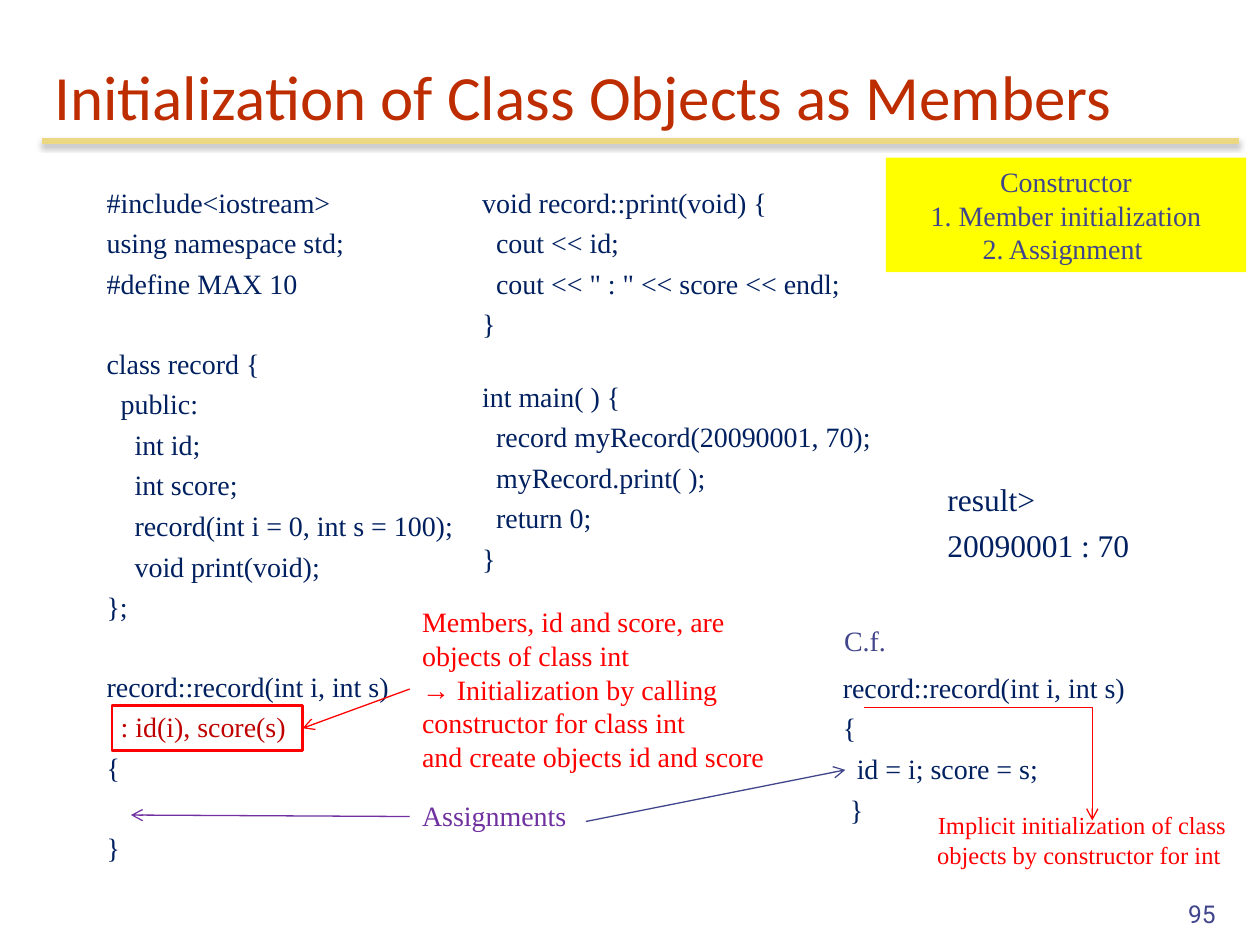
from pptx import Presentation
from pptx import util as u
from pptx.dml.color import RGBColor
from pptx.enum import shapes, text
from pptx.oxml import parse_xml
from pptx.oxml.ns import nsdecls, qn

NAVY = RGBColor(0x00, 0x20, 0x60)
RED = RGBColor(0xFF, 0x00, 0x00)
DARK = RGBColor(0xC0, 0x00, 0x00)
RUST = RGBColor(0xBE, 0x2D, 0x00)
SLATE = RGBColor(0x40, 0x45, 0x8C)
PLUM = RGBColor(0x70, 0x30, 0xA0)
GOLD = RGBColor(0xEC, 0xD8, 0x82)
LEMON = RGBColor(0xFF, 0xFF, 0x00)

LEFT, MID, RIGHT = text.PP_ALIGN.LEFT, text.PP_ALIGN.CENTER, text.PP_ALIGN.RIGHT
SHADE = (
    '<a:outerShdw blurRad="40000" dist="23000" dir="5400000" rotWithShape="0">'
    '<a:srgbClr val="000000"><a:alpha val="35000"/></a:srgbClr></a:outerShdw>'
)


class Sheet:
    """Style and current slide; all lengths are in centimetres."""

    face = "Times New Roman"
    size = 16

    def __init__(self, deck):
        self.slide = deck.slides.add_slide(deck.slide_layouts[5])
        self.items = self.slide.shapes

    def style(self, para, color, size=None, face=None, align=LEFT):
        para.alignment = align
        para.font.name = face or self.face
        para.font.size = u.Pt(size or self.size)
        para.font.color.rgb = color

    def title(self, words, box):
        head = self.items.title
        head.left, head.top, head.width, head.height = map(u.Cm, box)
        frame = head.text_frame
        frame.text = words
        frame.auto_size = text.MSO_AUTO_SIZE.NONE
        frame.vertical_anchor = text.MSO_ANCHOR.BOTTOM
        self.style(frame.paragraphs[0], RUST, 36, "Calibri")

    def fill(self, frame, lines, color, **style):
        """Write one paragraph per line."""
        for i, line in enumerate(lines):
            para = frame.paragraphs[0] if i == 0 else frame.add_paragraph()
            para.text = line
            self.style(para, color, **style)

    def note(self, lines, box, color, wrap=True, **style):
        frame = self.items.add_textbox(*map(u.Cm, box)).text_frame
        frame.word_wrap = wrap
        self.fill(frame, lines, color, **style)
        return frame

    def code(self, source, box, size=16, wrap=True):
        """Source lines: leading blanks become indents, empty lines become gaps."""
        rows = source.split("\n")
        kept = [(i, row) for i, row in enumerate(rows) if row]
        frame = self.note([row.strip() for _, row in kept], box, NAVY, wrap, size=size)
        space = size / 4
        for para, (i, row) in zip(frame.paragraphs, kept):
            gap = i > 0 and not rows[i - 1]
            para.space_before = u.Pt(space + (size * 1.4 if gap else 0))
            depth = len(row) - len(row.lstrip())
            props = para._p.get_or_add_pPr()
            props.set("marL", str(u.Pt(depth * space)))
            props.set("indent", "0")
        return frame

    def rect(self, box, fill=None, line=None):
        shape = self.items.add_shape(shapes.MSO_SHAPE.RECTANGLE, *map(u.Cm, box))
        shape.shadow.inherit = False
        if fill is None:
            shape.fill.background()
        else:
            shape.fill.solid()
            shape.fill.fore_color.rgb = fill
        if line is None:
            shape.line.fill.background()
        else:
            shape.line.color.rgb = line
            shape.line.width = u.Pt(1.5)
        return shape

    def line(self, ends, color, width=0.75, arrow=True, bent=False, shade=""):
        kind = shapes.MSO_CONNECTOR.ELBOW if bent else shapes.MSO_CONNECTOR.STRAIGHT
        link = self.items.add_connector(kind, *map(u.Cm, ends))
        link.line.color.rgb = color
        link.line.width = u.Pt(width)
        props = link._element.spPr
        if bent:
            props.find(qn("a:prstGeom")).set("prst", "bentConnector2")
        if arrow:
            tail = parse_xml(f'<a:tailEnd {nsdecls("a")} type="arrow"/>')
            props.find(qn("a:ln")).append(tail)
        props.append(parse_xml(f'<a:effectLst {nsdecls("a")}>{shade}</a:effectLst>'))


RECORD = """#include<iostream>
using namespace std;
#define MAX 10

class record {
  public:
    int id;
    int score;
    record(int i = 0, int s = 100);
    void print(void);
};

record::record(int i, int s)
  : id(i), score(s)
{

}"""

PRINT = """void record::print(void) {
  cout << id;
  cout << " : " << score << endl;
}"""

MAIN = """int main( ) {
  record myRecord(20090001, 70);
  myRecord.print( );
  return 0;
}"""

ASSIGN = """record::record(int i, int s)
{
  id = i; score = s;
 }"""


def main():
    deck = Presentation()
    deck.slide_width, deck.slide_height = u.Cm(25.4), u.Cm(19.05)
    page = Sheet(deck)

    # Heading and rule
    page.line((0.84, 2.84, 24.97, 2.84), GOLD, 3, arrow=False, shade=SHADE)
    page.title("Initialization of Class Objects as Members", (0.84, 0.84, 24.13, 1.98))

    # Program listing
    listing = page.code(RECORD, (1.9, 3.61, 7.57, 14.07))
    for para in listing.paragraphs:
        if para.text.startswith(":"):
            para.font.color.rgb = DARK
    page.code(PRINT, (9.47, 3.61, 9.04, 4.22))
    page.code(MAIN, (9.47, 7.52, 8.46, 4.9), wrap=False)
    page.code("result>\n20090001 : 70", (18.85, 9.55, 6.5, 1.96), size=18)

    # Member initialization
    page.rect((2.26, 14.22, 3.84, 0.91), line=RED)
    page.note(
        [
            "Members, id and score, are objects of class int",
            "→ Initialization by calling constructor for class int",
            "and create objects id and score",
        ],
        (8.26, 12.07, 7.95, 3.68), RED,
    )
    page.line((8.26, 13.89, 6.1, 14.68), RED)

    # Assignments
    page.note(["Assignments"], (8.26, 15.98, 6.71, 0.94), PLUM)
    page.line((8.26, 16.46, 2.64, 16.43), PLUM)
    page.line((11.81, 16.56, 17.04, 15.52), SLATE)

    # Order of steps
    steps = page.rect((17.86, 3.18, 7.26, 2.31), fill=LEMON)
    page.fill(
        steps.text_frame,
        ["Constructor", "1. Member initialization", "2. Assignment "],
        SLATE, align=MID,
    )

    # Comparison
    page.note(["C.f."], (16.74, 12.45, 1.4, 0.94), SLATE, wrap=False, align=MID)
    page.code(ASSIGN, (16.74, 13.39, 6.93, 3.4))
    page.note(
        ["Implicit initialization of class", "objects by constructor for int "],
        (18.54, 16.21, 6.55, 1.45), RED, size=14, align=MID,
    )
    page.line((17.42, 14.27, 22.02, 16.54), RED, bent=True)

    # Page number
    foot = page.note(["95"], (19.48, 17.58, 5.28, 1.27), SLATE,
                     size=14, face="Roboto", align=RIGHT)
    foot.vertical_anchor = text.MSO_ANCHOR.BOTTOM

    deck.save("out.pptx")


if __name__ == "__main__":
    main()
